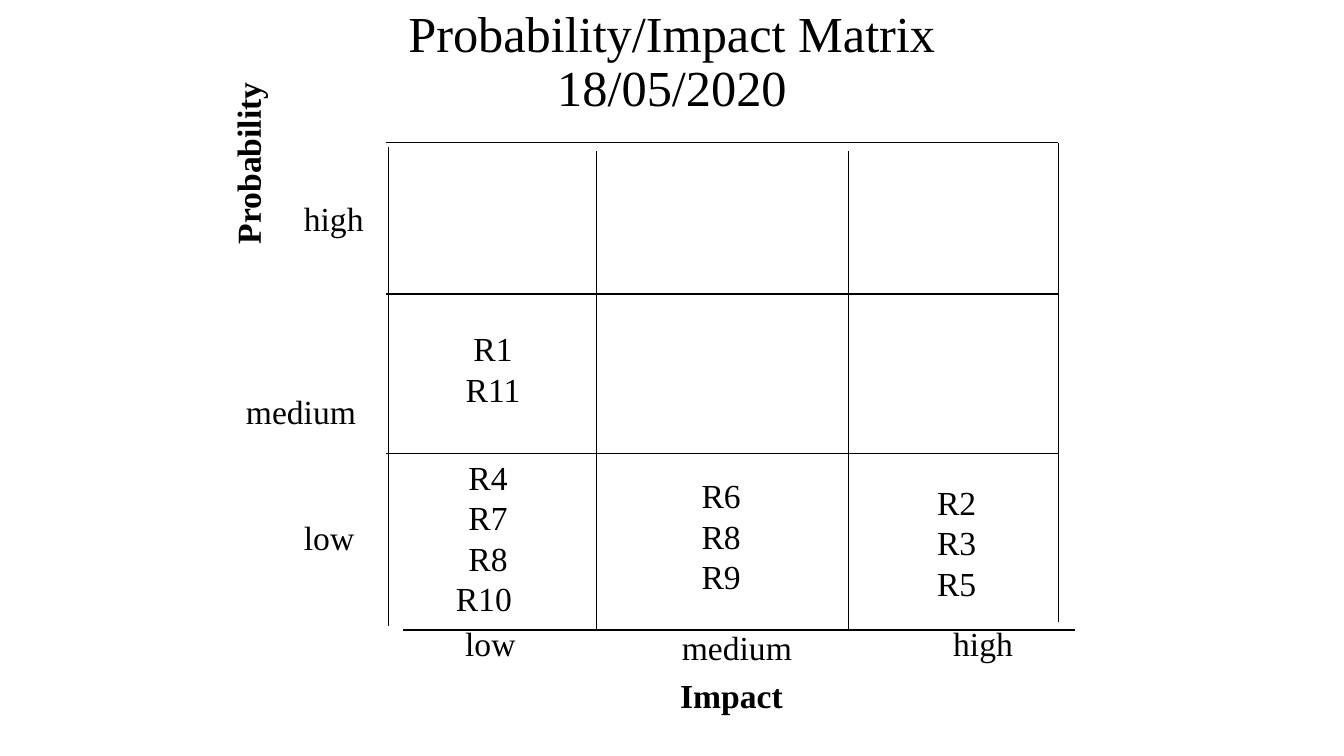
"""Build a probability/impact risk matrix on a 160 by 90 slide grid."""
import dataclasses

import lxml.etree
import pptx
import pptx.dml.color
import pptx.enum.shapes
import pptx.enum.text
import pptx.oxml.ns
import pptx.slide
import pptx.util

SLIDE_WIDTH = pptx.util.Inches(13.34)
SLIDE_HEIGHT = pptx.util.Inches(7.5)
COLUMNS, ROWS = 160, 90
INK = "000000"
FONT = "Times New Roman"
LABEL_HEIGHT = 6
LABEL_WIDTHS = {"low": 8.4, "medium": 15.5, "high": 9.5}


@dataclasses.dataclass(frozen=True)
class Rule:
    """A matrix line between two grid points."""
    x1: float
    y1: float
    x2: float
    y2: float


@dataclasses.dataclass(frozen=True)
class Caption:
    """A text block placed in grid units."""
    lines: tuple[str, ...]
    column: float
    row: float
    width: float
    height: float = LABEL_HEIGHT
    bold: bool = False
    centred: bool = False
    wrap: bool = False
    rotation: float = 0


RULES = [
    Rule(46.2, 17.5, 46.2, 74.5),
    *(Rule(46, row, 126, row) for row in (17, 35, 54)),
    Rule(48, 75, 128, 75),
    *(Rule(column, 75, column, 18) for column in (71, 101)),
    Rule(126, 74, 126, 17),
]

AXIS_TITLES = [
    Caption(("Impact",), 79.8, 79.8, 14.6, bold=True),
    Caption(("Probability",), 18.6, 16.4, 21.7, bold=True, wrap=True, rotation=270),
]

LEVELS = [
    Caption((level,), column, row, LABEL_WIDTHS[level])
    for level, column, row in (
        ("low", 35, 61), ("medium", 28.1, 46), ("high", 35, 23),
        ("low", 54.2, 73.6), ("medium", 80, 74), ("high", 112.3, 73.6),
    )
]

RISKS = [
    Caption(("R1", "R11"), 52.1, 38.5, 13.2, 10.8, centred=True, wrap=True),
    Caption(("R2", "R3", "R5"), 104.8, 56.8, 18.2, 20.4, centred=True, wrap=True),
    Caption(("R6", "R8", "R9"), 82.3, 56, 7.1, 15.6, centred=True),
    Caption(("R4", "R7", "R8", "R10 "), 52.8, 53.8, 10.6, 20.4, centred=True, wrap=True),
]


def across(columns: float) -> int:
    """Convert grid columns to a length."""
    return round(SLIDE_WIDTH * columns / COLUMNS)


def down(rows: float) -> int:
    """Convert grid rows to a length."""
    return round(SLIDE_HEIGHT * rows / ROWS)


def colour(value: str) -> pptx.dml.color.RGBColor:
    """Turn a hex string into a colour."""
    return pptx.dml.color.RGBColor.from_string(value)


def style(paragraph, size: float, bold: bool, centred: bool) -> None:
    """Set the font and alignment of a paragraph."""
    paragraph.font.name = FONT
    paragraph.font.size = pptx.util.Pt(size)
    paragraph.font.bold = bold
    paragraph.font.color.rgb = colour(INK)
    align = pptx.enum.text.PP_ALIGN
    paragraph.alignment = align.CENTER if centred else align.LEFT


def draw_title(slide: pptx.slide.Slide) -> None:
    """Write the two-line slide title."""
    frame = slide.shapes.add_textbox(across(20), 0, across(120), down(15)).text_frame
    frame.word_wrap = True
    frame.vertical_anchor = pptx.enum.text.MSO_ANCHOR.MIDDLE
    heading = frame.paragraphs[0]
    heading.add_run().text = "Probability/Impact Matrix"
    heading.add_line_break()
    heading.add_run().text = "18/05/2020"
    heading.line_spacing = 0.9
    style(heading, 36, False, True)


def draw_rule(slide: pptx.slide.Slide, rule: Rule) -> None:
    """Draw one thin line of the matrix."""
    edge = slide.shapes.add_connector(
        pptx.enum.shapes.MSO_CONNECTOR.STRAIGHT,
        across(rule.x1), down(rule.y1), across(rule.x2), down(rule.y2))
    edge.line.color.rgb = colour(INK)
    edge.line.width = pptx.util.Pt(0.75)
    properties = edge.element.find(pptx.oxml.ns.qn("p:spPr"))
    lxml.etree.SubElement(properties, pptx.oxml.ns.qn("a:effectLst"))


def draw_caption(slide: pptx.slide.Slide, caption: Caption) -> None:
    """Write one text block, a paragraph for each line."""
    box = slide.shapes.add_textbox(
        across(caption.column), down(caption.row),
        across(caption.width), down(caption.height))
    box.rotation = caption.rotation
    frame = box.text_frame
    frame.word_wrap = caption.wrap
    fit = pptx.enum.text.MSO_AUTO_SIZE
    frame.auto_size = fit.NONE if caption.rotation else fit.SHAPE_TO_FIT_TEXT
    frame.text = "\n".join(caption.lines)
    for paragraph in frame.paragraphs:
        style(paragraph, 24, caption.bold, caption.centred)


def main() -> None:
    """Create and save the slide."""
    deck = pptx.Presentation()
    deck.slide_width, deck.slide_height = SLIDE_WIDTH, SLIDE_HEIGHT
    slide = deck.slides.add_slide(deck.slide_layouts[6])
    draw_title(slide)
    for rule in RULES:
        draw_rule(slide, rule)
    for caption in AXIS_TITLES + LEVELS + RISKS:
        draw_caption(slide, caption)
    deck.save("out.pptx")


if __name__ == "__main__":
    main()
